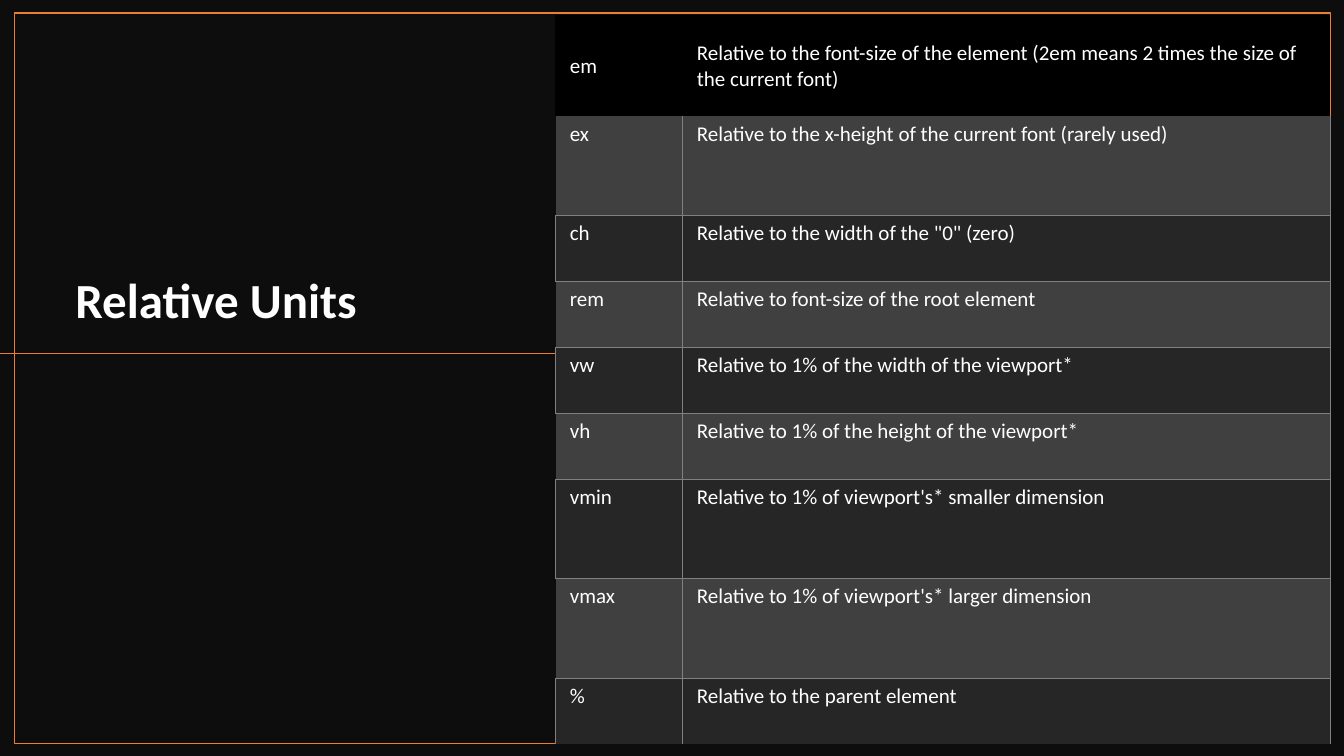
from lxml import etree
from pptx import Presentation
from pptx.dml.color import RGBColor
from pptx.enum.shapes import MSO_CONNECTOR, MSO_SHAPE
from pptx.enum.text import MSO_ANCHOR
from pptx.oxml.ns import qn
from pptx.util import Cm, Pt

LINE = MSO_CONNECTOR.STRAIGHT
RECT = MSO_SHAPE.RECTANGLE
TOP, MIDDLE, BOTTOM = MSO_ANCHOR.TOP, MSO_ANCHOR.MIDDLE, MSO_ANCHOR.BOTTOM

WIDTH, HEIGHT = 33.87, 19.05
PLAIN = "{2D5ABB26-0587-4C30-8999-92F81FD0307C}"  # no style, no grid
COLORS = {
    "back": "0D0D0D", "accent": "ED7D31", "text": "FFFFFF",
    "head": "000000", "light": "404040", "dark": "262626", "grid": "808080",
}

TALL, SHORT = 2.51, 1.66
UNITS = [
    ("em", "Relative to the font-size of the element "
           "(2em means 2 times the size of the current font)", TALL),
    ("ex", "Relative to the x-height of the current font (rarely used)", TALL),
    ("ch", 'Relative to the width of the "0" (zero)', SHORT),
    ("rem", "Relative to font-size of the root element", SHORT),
    ("vw", "Relative to 1% of the width of the viewport*", SHORT),
    ("vh", "Relative to 1% of the height of the viewport*", SHORT),
    ("vmin", "Relative to 1% of viewport's* smaller dimension", TALL),
    ("vmax", "Relative to 1% of viewport's* larger dimension", TALL),
    ("%", "Relative to the parent element", SHORT),
]


def color(name):
    return RGBColor.from_string(COLORS[name])


def write(frame, text, size=15, bold=False, anchor=TOP, lead=None, after=None):
    frame.word_wrap = True
    frame.vertical_anchor = anchor
    para = frame.paragraphs[0]
    para.line_spacing = lead
    para.space_after = after
    run = para.add_run()
    run.text = text
    run.font.name = "Calibri"
    run.font.size = Pt(size)
    run.font.bold = bold
    run.font.color.rgb = color("text")


def border(cell, sides, name, width):
    """Draw the given sides, listed in the order L, R, T, B."""
    props = cell._tc.get_or_add_tcPr()
    for side in sides:
        edge = etree.SubElement(props, qn("a:ln" + side), w=str(Pt(width)))
        fill = etree.SubElement(edge, qn("a:solidFill"))
        etree.SubElement(fill, qn("a:srgbClr"), val=COLORS[name])


class Board:
    def __init__(self, slide, stroke=1):
        self.shapes = slide.shapes
        self.stroke = Pt(stroke)

    def rect(self, x, y, w, h, fill=None, line=None):
        shape = self.shapes.add_shape(RECT, Cm(x), Cm(y), Cm(w), Cm(h))
        shape.shadow.inherit = False
        if fill:
            shape.fill.solid()
            shape.fill.fore_color.rgb = color(fill)
        else:
            shape.fill.background()
        if line:
            shape.line.color.rgb = color(line)
            shape.line.width = self.stroke
        else:
            shape.line.fill.background()

    def rule(self, x1, y1, x2, y2, name):
        line = self.shapes.add_connector(LINE, Cm(x1), Cm(y1), Cm(x2), Cm(y2))
        line.line.color.rgb = color(name)
        line.line.width = self.stroke
        etree.SubElement(line._element.spPr, qn("a:effectLst"))

    def text(self, x, y, w, h, text, **style):
        box = self.shapes.add_textbox(Cm(x), Cm(y), Cm(w), Cm(h))
        write(box.text_frame, text, **style)

    def table(self, x, y, widths, rows):
        high = sum(row[-1] for row in rows)
        frame = self.shapes.add_table(len(rows), len(widths), Cm(x), Cm(y),
                                      Cm(sum(widths)), Cm(high))
        grid = frame.table
        grid.horz_banding = False
        grid._tbl.tblPr.find(qn("a:tableStyleId")).text = PLAIN
        for col, width in zip(grid.columns, widths):
            col.width = Cm(width)
        for r, (*texts, height) in enumerate(rows):
            grid.rows[r].height = Cm(height)
            for c, text in enumerate(texts):
                self.cell(grid.cell(r, c), text, r, c)

    def cell(self, cell, text, r, c):
        cell.margin_left, cell.margin_right = Cm(0.36), Cm(0.23)
        cell.margin_top = cell.margin_bottom = Cm(0.13)
        write(cell.text_frame, text)
        cell.vertical_anchor = TOP if r else MIDDLE
        if r == 0:
            fill = "head"
            border(cell, "T" if c else "LT", "head", 1.47)
        elif r % 2:
            fill = "light"
            border(cell, "LRB" if c else "RB", "grid", 0.5)
        else:
            fill = "dark"
            border(cell, "LRT", "grid", 0.5)
        cell.fill.solid()
        cell.fill.fore_color.rgb = color(fill)


def main():
    deck = Presentation()
    deck.slide_width, deck.slide_height = Cm(WIDTH), Cm(HEIGHT)
    board = Board(deck.slides.add_slide(deck.slide_layouts[6]))

    # Backdrop and title
    board.rect(0, 0, WIDTH, HEIGHT, fill="back")
    board.text(1.65, 1.8, 10.19, 6.63, "Relative Units", size=35, bold=True,
               anchor=BOTTOM, lead=0.9, after=Pt(6))

    # Rule and frame
    board.rule(WIDTH / 2, 8.91, 0, 8.91, "accent")
    board.rect(0.36, 0.33, 33.17, 18.41, line="accent")

    # Table of units
    board.table(14, 0.41, [3.2, 16.33], UNITS)

    deck.save("out.pptx")


if __name__ == "__main__":
    main()
